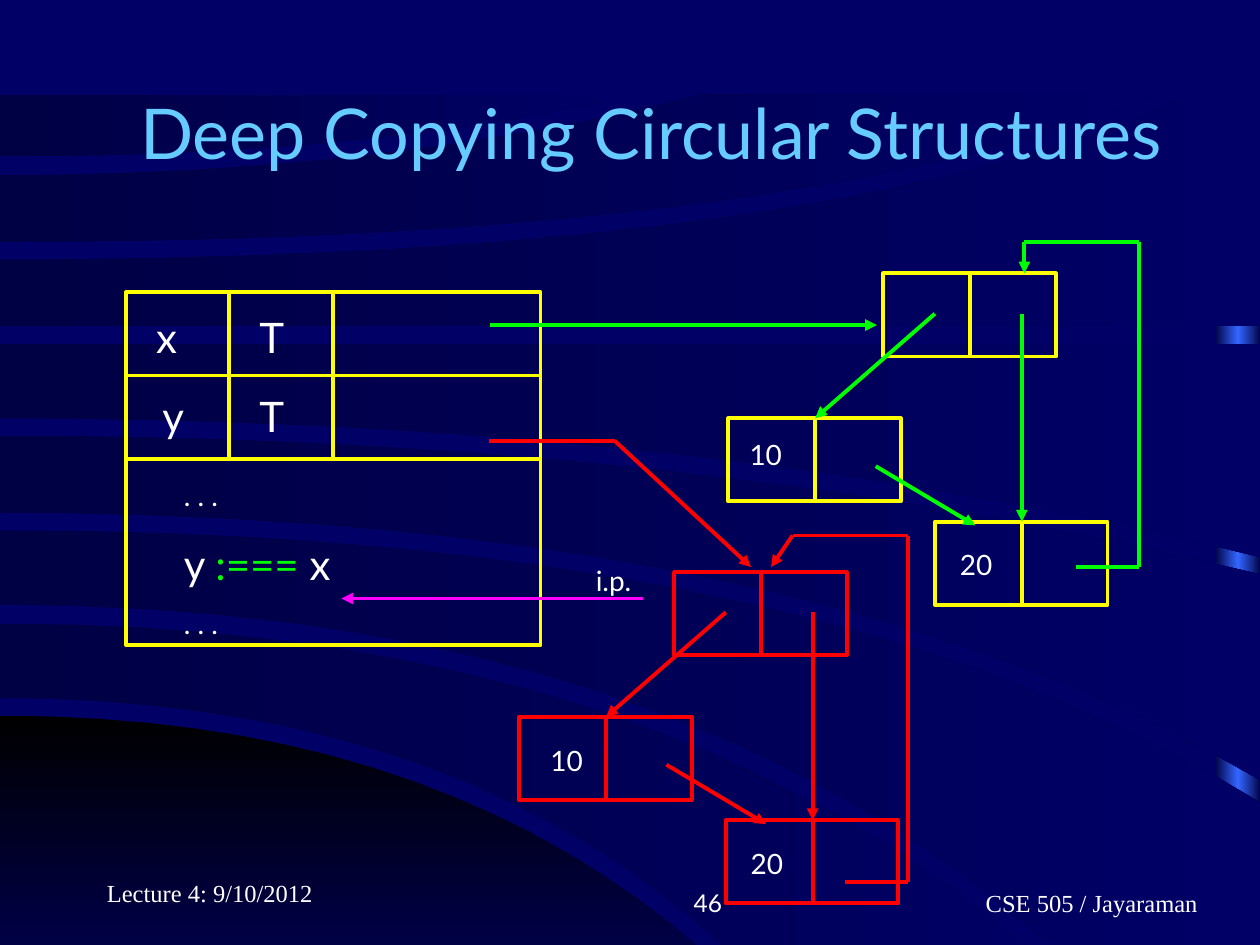
from lxml.etree import SubElement
from pptx import Presentation
from pptx.dml.color import RGBColor
from pptx.enum.shapes import MSO_CONNECTOR, MSO_SHAPE
from pptx.enum.text import MSO_ANCHOR, PP_ALIGN
from pptx.oxml.ns import qn
from pptx.util import Inches, Pt

YELLOW, GREEN, RED, MAGENTA = "FFFF00", "00FF00", "FF0000", "FF00FF"
WHITE, SKY, NAVY, DARK, BLACK = "FFFFFF", "66CCFF", "000066", "000044", "000000"
color = RGBColor.from_string

prs = Presentation()
prs.slide_width, prs.slide_height = Inches(10), Inches(7.5)
slide = prs.slides.add_slide(prs.slide_layouts[6])
shapes = slide.shapes
slide.background.fill.solid()
slide.background.fill.fore_color.rgb = color(NAVY)


def add_text(lines, left, top, width, height, size=16, font="Lato", fill=WHITE,
             align=PP_ALIGN.LEFT, anchor=MSO_ANCHOR.TOP, indent=0):
    """Each line is a string or a list of (text, size, colour) runs."""
    frame = shapes.add_textbox(Inches(left), Inches(top), Inches(width), Inches(height)).text_frame
    frame.word_wrap = True
    frame.vertical_anchor = anchor
    frame.margin_left = Inches(0.1 + indent)
    for number, line in enumerate([lines] if isinstance(lines, str) else lines):
        paragraph = frame.paragraphs[0] if number == 0 else frame.add_paragraph()
        paragraph.alignment = align
        pieces = [(line, size, fill)] if isinstance(line, str) else line
        if number:
            paragraph.space_before = Pt(15 if pieces[0][1] == 24 else 10)
        for text, run_size, run_fill in pieces:
            run = paragraph.add_run()
            run.text = text
            run.font.name, run.font.size = font, Pt(run_size)
            run.font.color.rgb = color(run_fill)


def add_route(points, stroke, arrow=False):
    """Straight segments through the points, with an optional head at the end."""
    for start, end in zip(points, points[1:]):
        segment = shapes.add_connector(MSO_CONNECTOR.STRAIGHT, *map(Inches, start + end))
        segment.line.width = Pt(2.25)
        segment.line.color.rgb = color(stroke)
        SubElement(segment._element.spPr, qn("a:effectLst"))
        if arrow and end == points[-1]:
            SubElement(segment.line._get_or_add_ln(), qn("a:tailEnd"), type="triangle")


# Background: a glowing strip at the right, then the curved bands.
# Each band has an upper and a lower edge: (left y, bend x, end x, end y).
bands = [
    ((5.68, 4.06, 6.29, 8.27), (8.27, 3, 6.29, 8.27)),
    ((4.95, 5.8, 8.94, 8.25), (5.54, 4.24, 6.43, 8.25)),
    ((4.21, 6.5, 10, 6.37), (4.8, 5.95, 9.1, 8.25)),
    ((3.46, 5.5, 10, 4.56), (4.07, 6.4, 10, 6.19)),
    ((2.73, 5, 10, 2.73), (3.32, 5.6, 10, 4.42)),
    ((2.06, 6.7, 9.44, 0.75), (2.59, 5, 10, 2.59)),
    ((1.39, 3.1, 5.57, 0.75), (1.92, 6.3, 9.18, 0.75)),
    ((0.75, 2.5, 5.02, 0.75), (1.24, 3, 5.02, 0.75)),
]
STEPS = 20
strip = shapes.add_shape(MSO_SHAPE.RECTANGLE, Inches(9.64), Inches(0.77), Inches(0.37), Inches(7.5))
backdrop = [(strip, [DARK, "3366FF", DARK], 0)]
for number, band in enumerate(bands):
    upper, lower = [
        [(2 * t * (1 - t) * bend + t * t * end_x, left_y + t * t * (end_y - left_y))
         for t in (step / STEPS for step in range(STEPS + 1))]
        for left_y, bend, end_x, end_y in band]
    right = max(upper[-1][0], lower[-1][0])
    corners = [(right, upper[-1][1]), (right, lower[-1][1])]
    points = [(Inches(x), Inches(y)) for x, y in upper + corners + lower[::-1]]
    builder = shapes.build_freeform(*points[0])
    builder.add_line_segments(points[1:], close=True)
    tints, angle = ([DARK, NAVY], 0) if number else ([BLACK, NAVY], 270)
    backdrop.append((builder.convert_to_shape(), tints, angle))
for part, tints, angle in backdrop:
    part.shadow.inherit = False
    part.line.fill.background()
    part.fill.gradient()
    part.fill.gradient_angle = angle
    stops = part._element.spPr.find(qn("a:gradFill")).find(qn("a:gsLst"))
    for stop in list(stops):
        stops.remove(stop)
    for step, tint in enumerate(tints):
        stop = SubElement(stops, qn("a:gs"), pos=str(100000 * step // (len(tints) - 1)))
        SubElement(stop, qn("a:srgbClr"), val=tint)

# Title and footer
add_text("Deep Copying Circular Structures", 0.75, 0.42, 8.83, 1.25, size=40, fill=SKY,
         align=PP_ALIGN.CENTER, anchor=MSO_ANCHOR.MIDDLE)
add_text("Lecture 4: 9/10/2012", 0.75, 6.75, 2.08, 0.5, size=14, font="Times New Roman",
         anchor=MSO_ANCHOR.BOTTOM)
add_text("46", 3.75, 6.83, 2.08, 0.5, size=14, align=PP_ALIGN.RIGHT, anchor=MSO_ANCHOR.BOTTOM)
add_text("CSE 505 / Jayaraman", 6.58, 6.83, 3.17, 0.5, size=14, font="Times New Roman",
         align=PP_ALIGN.CENTER, anchor=MSO_ANCHOR.BOTTOM, indent=1)

# Frames: the activation record, and three cells for each of the two structures
structures = [(GREEN, YELLOW, 0, 0), (RED, RED, -1.66, 2.37)]
cells = [(7.01, 2.17), (5.78, 3.32), (7.42, 4.14)]
frames = [(1, 2.32, 3.29, 2.8, YELLOW)]
for _, border, dx, dy in structures:
    frames += [(x + dx, y + dy, 1.37, 0.66, border) for x, y in cells]
for left, top, width, height, border in frames:
    frame = shapes.add_shape(MSO_SHAPE.RECTANGLE, *map(Inches, (left, top, width, height)))
    frame.shadow.inherit = False
    frame.fill.background()
    frame.line.width = Pt(2.25)
    frame.line.color.rgb = color(border)

# Activation record: rules, variables and code
for y in (2.98, 3.64):
    add_route([(1, y), (4.29, y)], YELLOW)
for x in (1.82, 2.64):
    add_route([(x, 2.32), (x, 3.64)], YELLOW)
for name, name_left, top in (("x", 1.14, 2.42), ("y", 1.19, 3.05)):
    add_text(name, name_left, top, 0.68, 0.5, size=24)
    add_text("T", 1.96, top, 0.68, 0.5, size=24)
assignment = [("y ", 24, WHITE), (":===", 24, GREEN), (" x", 24, WHITE)]
add_text([". . .", assignment, ". . ."], 1.14, 3.75, 2.6, 1.38, indent=0.22)

# Cell dividers and the pointers inside each structure
pointers = [((7.42, 2.49), (6.47, 3.32)), ((8.11, 2.49), (8.11, 4.14)), ((6.95, 3.7), (7.74, 4.17))]
for pointer, border, dx, dy in structures:
    for x, y in cells:
        middle = x + dx + 0.69
        add_route([(middle, y + dy), (middle, y + dy + 0.66)], border)
    for link in pointers:
        add_route([(x + dx, y + dy) for x, y in link], pointer, arrow=True)

# Links back to the head of each structure
add_route([(8.54, 4.5), (9.04, 4.5), (9.04, 1.92), (8.13, 1.92), (8.13, 2.17)], GREEN, arrow=True)
add_route([(6.71, 7), (7.21, 7), (7.21, 4.25), (6.29, 4.25), (6.12, 4.5)], RED, arrow=True)

# References from x and y, and the instruction pointer
add_route([(3.89, 2.58), (6.96, 2.58)], GREEN, arrow=True)
add_route([(3.88, 3.5), (4.88, 3.5), (5.96, 4.5)], RED, arrow=True)
add_route([(5.1, 4.75), (2.71, 4.75)], MAGENTA, arrow=True)

# Values and the pointer label
for label, left, top in (("10", 5.85, 3.42), ("20", 7.52, 4.3), ("10", 4.27, 5.85),
                         ("20", 5.86, 6.67), ("i.p.", 4.63, 4.42)):
    add_text(label, left, top, 0.68, 0.37)

prs.save("out.pptx")
